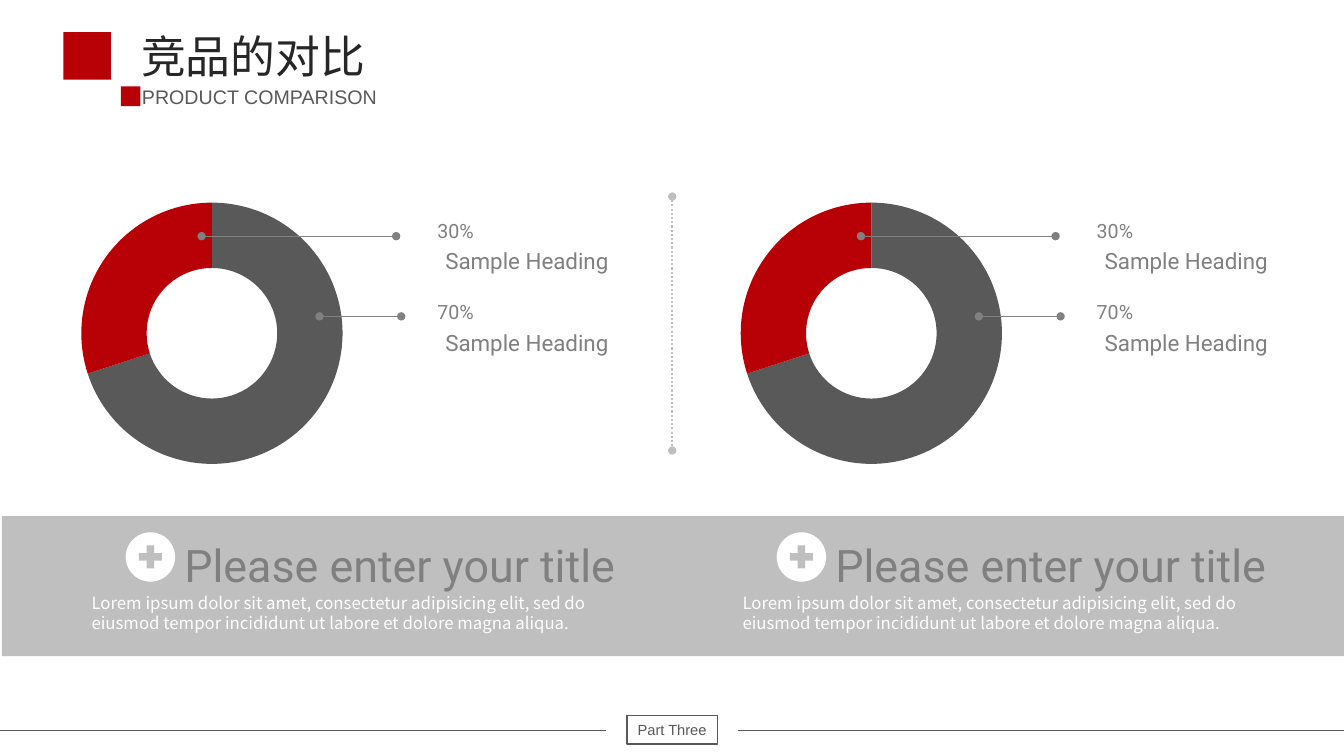
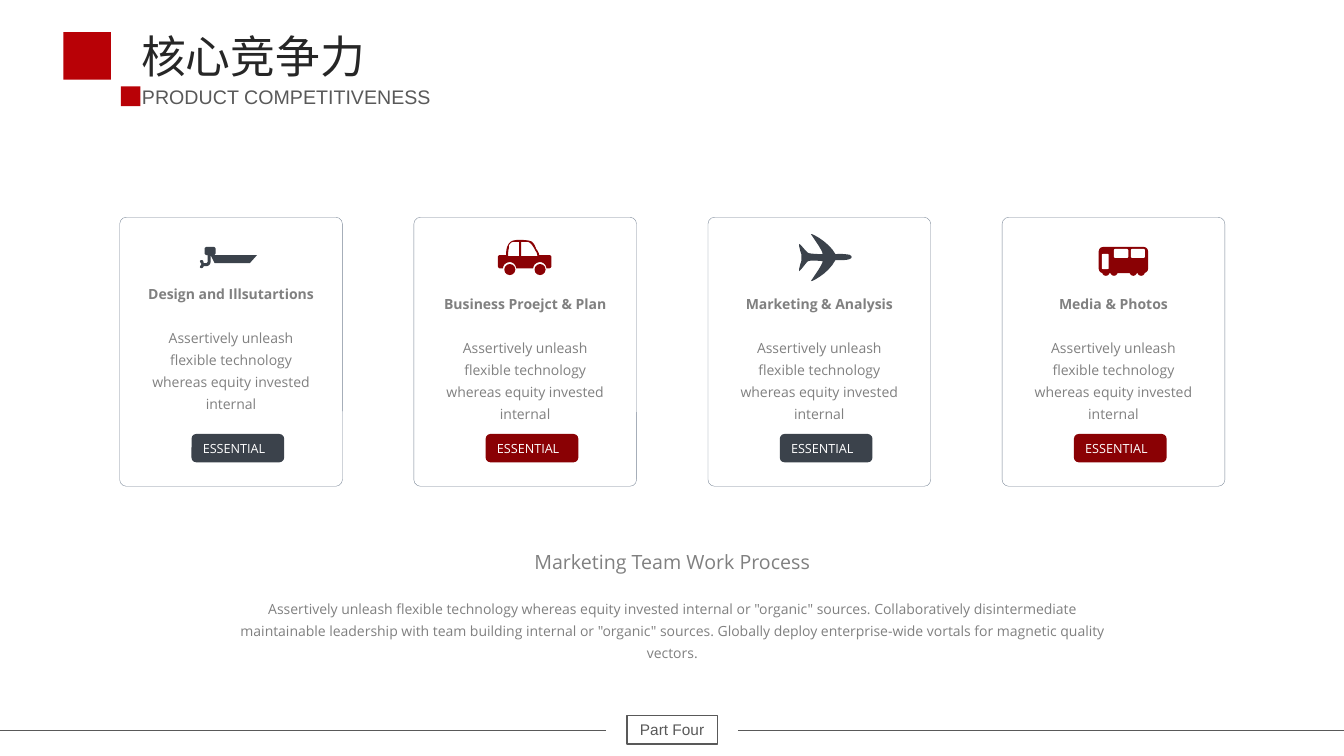
from lxml import etree
from pptx import Presentation
from pptx import util as u
from pptx.chart import data as chart_data
from pptx.dml.color import RGBColor
from pptx.enum import chart as charts, dml, shapes, text
from pptx.oxml import ns, parse_xml

Pt = u.Pt
KIND = shapes.MSO_SHAPE
LEFT, CENTER = text.PP_ALIGN.LEFT, text.PP_ALIGN.CENTER
RED = RGBColor(0xB8, 0x01, 0x06)
MAROON = RGBColor(0x8A, 0x01, 0x04)
SLATE = RGBColor(0x3B, 0x42, 0x4B)
CARD_EDGE = RGBColor(0x77, 0x84, 0x95)
INK = RGBColor(0x26, 0x26, 0x26)
DARK = RGBColor(0x59, 0x59, 0x59)
GREY = RGBColor(0x80, 0x80, 0x80)
SILVER = RGBColor(0xBF, 0xBF, 0xBF)
WHITE = RGBColor(0xFF, 0xFF, 0xFF)
CJK, ROBOTO, OPEN = "Noto Sans CJK SC", "Roboto", "Open Sans"


def put_text(frame, paragraphs, align=LEFT, spacing=None, gap=0, wrap=True):
    frame.word_wrap = wrap
    for index, (words, size, font, colour, bold) in enumerate(paragraphs):
        paragraph = frame.add_paragraph() if index else frame.paragraphs[0]
        paragraph.alignment = align
        if spacing:
            paragraph.line_spacing = spacing
        if index and gap:
            paragraph.space_before = Pt(gap)
        run = paragraph.add_run()
        run.text = words
        run.font.size = Pt(size)
        run.font.bold = bold
        run.font.color.rgb = colour
        run.font.name = font
        properties = run.font._element
        etree.SubElement(properties, ns.qn("a:ea"), typeface=font)


def add_block(slide, kind, box, fill=None, edge=None, weight=1):
    block = slide.shapes.add_shape(kind, *map(Pt, box))
    block.shadow.inherit = False
    if fill is None:
        block.fill.background()
    else:
        block.fill.solid()
        block.fill.fore_color.rgb = fill
    if edge is None:
        block.line.fill.background()
    else:
        block.line.color.rgb = edge
        block.line.width = Pt(weight)
    return block


deck = Presentation()
deck.slide_width, deck.slide_height = Pt(960), Pt(540)
lines = []
slides = []

for title, subtitle, part, part_size in [
    ("竞品的对比", "PRODUCT COMPARISON", "Part Three", 10.5),
    ("核心竞争力", "PRODUCT COMPETITIVENESS", "Part Four", 11),
]:
    slide = deck.slides.add_slide(deck.slide_layouts[5])
    slides.append(slide)
    heading = slide.shapes.title
    heading.left, heading.top, heading.width, heading.height = map(Pt, (93.6, 16.6, 217, 46))
    heading.text_frame.vertical_anchor = text.MSO_ANCHOR.TOP
    heading.text_frame.auto_size = text.MSO_AUTO_SIZE.NONE
    put_text(heading.text_frame, [(title, 32, CJK, INK, False)])
    add_block(slide, KIND.RECTANGLE, (45.2, 23, 34, 34), RED)
    add_block(slide, KIND.RECTANGLE, (86.4, 61.8, 14, 14), RED)
    caption = slide.shapes.add_textbox(*map(Pt, (94.3, 56.9, 300, 24.5)))
    put_text(caption.text_frame, [(subtitle, 14, "Arial", DARK, False)])
    part_box = add_block(slide, KIND.RECTANGLE, (447.8, 511, 64.6, 20.4), edge=DARK)
    part_box.text_frame.vertical_anchor = text.MSO_ANCHOR.MIDDLE
    put_text(part_box.text_frame, [(part, part_size, "Arial", DARK, False)], CENTER, wrap=False)
    for start, end in [(0, 432.7), (527, 960)]:
        lines.append((slide, (start, 521.5, end, 521.5), DARK, 0.5, False, None))

comparison, strengths = slides

add_block(comparison, KIND.RECTANGLE, (1.4, 368.6, 958.6, 100.1), SILVER)
shares = chart_data.CategoryChartData()
shares.categories = ["1", "2"]
shares.add_series("Series 1", (70, 30))

for offset in (0, 471):
    donut = comparison.shapes.add_chart(
        charts.XL_CHART_TYPE.DOUGHNUT, *map(Pt, (47.7 + offset, 134.4, 207.4, 207.4)), shares
    ).chart
    donut.has_legend = False
    donut.has_title = False
    donut.font.name = "Arial Narrow"
    donut.font.size = Pt(10.5)
    donut.font.color.rgb = WHITE
    for index, colour in enumerate((DARK, RED)):
        slice_format = donut.plots[0].series[0].points[index].format
        slice_format.fill.solid()
        slice_format.fill.fore_color.rgb = colour
        slice_format.line.fill.background()
    plot_area = donut._chartSpace.chart.plotArea
    for old in plot_area.findall(ns.qn("c:layout")):
        plot_area.remove(old)
    plot_area.insert(0, parse_xml(
        f'<c:layout {ns.nsdecls("c")}><c:manualLayout><c:layoutTarget val="inner"/>'
        '<c:xMode val="edge"/><c:yMode val="edge"/><c:x val="0.05"/><c:y val="0.05"/>'
        '<c:w val="0.9"/><c:h val="0.9"/></c:manualLayout></c:layout>'
    ))
    for share, top, line_start, line_end, line_top in [
        ("30%", 152.6, 144, 283, 168.7),
        ("70%", 211, 228.2, 286.6, 226),
    ]:
        for words, size, left, label_top, width in [
            (share, 14, 305.3, top, 75.6),
            ("Sample Heading", 16, 311, top + 20.2, 151.2),
        ]:
            label = comparison.shapes.add_textbox(*map(Pt, (left + offset, label_top, width, 26)))
            put_text(label.text_frame, [(words, size, ROBOTO, GREY, False)])
        leader = (line_start + offset, line_top, line_end + offset, line_top)
        lines.append((comparison, leader, GREY, 0.5, True, None))

for offset in (0, 465):
    add_block(comparison, KIND.OVAL, (89.8 + offset, 380.2, 35.3, 35.3), WHITE)
    plus = add_block(comparison, KIND.CROSS, (99.2 + offset, 389.6, 16.5, 16.5), SILVER)
    plus.adjustments[0] = 0.34
    for words, size, font, colour, box in [
        ("Please enter your title", 32, ROBOTO, GREY, (124.6 + offset, 380.2, 342.7, 46)),
        ("Lorem ipsum dolor sit amet, consectetur adipisicing elit, sed do eiusmod tempor "
         "incididunt ut labore et dolore magna aliqua.", 12, CJK, WHITE,
         (58.3 + offset, 419.8, 402.5, 36)),
    ]:
        message = comparison.shapes.add_textbox(*map(Pt, box))
        put_text(message.text_frame, [(words, size, font, colour, False)])

lines.append((comparison, (480.2, 140.4, 480.2, 321.8), SILVER, 1.5, True, dml.MSO_LINE.ROUND_DOT))

CARD_BODY = "Assertively unleash flexible technology whereas equity invested internal"
for index, (name, colour, text_top) in enumerate([
    ("Design and Illsutartions", SLATE, 196.9),
    ("Business Proejct & Plan", MAROON, 204.1),
    ("Marketing & Analysis", SLATE, 204.1),
    ("Media & Photos", MAROON, 204.1),
]):
    left = 85.5 + 210.1 * index
    card = add_block(strengths, KIND.ROUNDED_RECTANGLE, (left, 155.2, 159.1, 192.2), None, CARD_EDGE, 0.25)
    card.adjustments[0] = 0.03
    story = strengths.shapes.add_textbox(*map(Pt, (left + 12.5, text_top, 134, 102)))
    put_text(story.text_frame, [
        (name, 10, OPEN, GREY, True),
        (CARD_BODY, 10, OPEN, GREY, False),
    ], CENTER, 1.3, 15.7)
    badge = add_block(strengths, KIND.ROUNDED_RECTANGLE, (left + 51.3, 310, 66.2, 20.2), colour)
    badge.text_frame.vertical_anchor = text.MSO_ANCHOR.MIDDLE
    put_text(badge.text_frame, [("ESSENTIAL", 9, OPEN, WHITE, False)])

process = strengths.shapes.add_textbox(*map(Pt, (157.7, 384.5, 645.1, 96)))
put_text(process.text_frame, [
    ("Marketing Team Work Process", 14, OPEN, GREY, False),
    ('Assertively unleash flexible technology whereas equity invested internal or "organic" '
     "sources. Collaboratively disintermediate maintainable leadership with team building "
     'internal or "organic" sources. Globally deploy enterprise-wide vortals for magnetic '
     "quality vectors.", 10, OPEN, GREY, False),
], CENTER, 1.3, 15.7)

HAMMER = [[
    (108, 58), (115, 58, 122, 50, 122, 43), (122, 14), (122, 7, 115, 0, 108, 0), (58, 0),
    (50, 0, 43, 7, 43, 14), (43, 43), (43, 50, 50, 58, 58, 58), (65, 58), (65, 108), (58, 115),
    (36, 115), (36, 108, 36, 94, 22, 94), (0, 94, 14, 115, 22, 122), (14, 130, 0, 151, 22, 151),
    (29, 151, 36, 144, 36, 137), (58, 137), (72, 137, 86, 122, 86, 108), (86, 58), (115, 115),
    (367, 115), (418, 58),
]]
PLANE = [[
    (266, 166), (216, 72, 65, 0, 94, 29), (115, 58, 187, 166, 173, 166),
    (166, 166, 94, 166, 72, 158), (58, 151, 14, 94, 7, 94), (0, 101, 22, 166, 22, 166),
    (22, 216), (22, 216, 0, 281, 7, 288), (14, 288, 58, 223, 72, 216),
    (94, 209, 166, 216, 173, 216), (187, 216, 115, 324, 94, 353), (65, 382, 216, 310, 266, 209),
    (274, 209, 382, 216, 382, 187), (382, 158, 274, 166, 266, 166),
]]
CAR = [
    [
        (367, 108), (295, 108), (295, 94, 281, 72, 274, 65), (266, 43, 259, 29, 245, 14),
        (223, 0, 187, 0, 158, 0), (137, 0, 115, 0, 101, 7), (65, 22, 58, 72, 58, 108), (14, 108),
        (7, 108, 0, 115, 0, 122), (0, 187), (0, 194, 7, 202, 14, 202), (36, 202),
        (36, 180, 58, 158, 86, 158), (108, 158, 130, 180, 130, 202), (252, 202),
        (252, 180, 274, 158, 302, 158), (324, 158, 346, 180, 346, 202), (367, 202),
        (374, 202, 382, 194, 382, 187), (382, 122), (382, 115, 374, 108, 367, 108),
    ],
    [
        (151, 115), (72, 115), (72, 115, 72, 72, 79, 58), (79, 50, 79, 43, 79, 36),
        (86, 29, 94, 14, 108, 14), (151, 14),
    ],
    [
        (166, 115), (166, 14), (180, 14, 202, 14, 216, 14), (245, 22, 259, 65, 274, 86),
        (281, 94, 281, 115, 281, 115),
    ],
]
STEPS = 8
for outlines, left, top, colour in [
    (HAMMER, 141.8, 176.4, SLATE),
    (CAR, 355.7, 171.4, MAROON),
    (PLANE, 570.2, 164.9, SLATE),
]:
    builder = None
    for outline in outlines:
        points = [outline[0]]
        for segment in outline[1:]:
            if len(segment) == 2:
                points.append(segment)
                continue
            x0, y0 = points[-1]
            x1, y1, x2, y2, x3, y3 = segment
            for step in range(1, STEPS + 1):
                t = step / STEPS
                s = 1 - t
                weights = (s ** 3, 3 * s * s * t, 3 * s * t * t, t ** 3)
                points.append(tuple(
                    sum(w * v for w, v in zip(weights, values))
                    for values in ((x0, x1, x2, x3), (y0, y1, y2, y3))
                ))
        if builder is None:
            builder = strengths.shapes.build_freeform(*points[0], scale=Pt(0.1))
        else:
            builder.move_to(*points[0])
        builder.add_line_segments(points[1:], close=True)
    icon = builder.convert_to_shape(Pt(left), Pt(top))
    icon.shadow.inherit = False
    icon.fill.solid()
    icon.fill.fore_color.rgb = colour
    icon.line.fill.background()

for wheel_left in (360.2, 375.2 + 6.6):
    add_block(strengths, KIND.OVAL, (wheel_left, 188.6, 7.9, 7.9), MAROON)

bus_left, bus_top = 784.8, 176.4
for kind, box, colour in [
    (KIND.ROUNDED_RECTANGLE, (0, 0, 35.3, 18.7), MAROON),
    *[(KIND.OVAL, (wheel, 15.2, 5.4, 5.4), MAROON) for wheel in (2.4, 8.2, 22, 27.6)],
    (KIND.ROUNDED_RECTANGLE, (2.2, 5, 5, 10.8), WHITE),
    (KIND.ROUNDED_RECTANGLE, (10.8, 1.4, 10.4, 6.5), WHITE),
    (KIND.ROUNDED_RECTANGLE, (23, 1.4, 10.1, 6.5), WHITE),
]:
    x, y, width, height = box
    add_block(strengths, kind, (bus_left + x, bus_top + y, width, height), colour)

for slide, ends, colour, weight, dotted_ends, dash in lines:
    rule = slide.shapes.add_connector(shapes.MSO_CONNECTOR.STRAIGHT, *map(Pt, ends))
    rule.line.color.rgb = colour
    rule.line.width = Pt(weight)
    if dash:
        rule.line.dash_style = dash
    if dotted_ends:
        stroke = rule.line._get_or_add_ln()
        for end in ("a:headEnd", "a:tailEnd"):
            etree.SubElement(stroke, ns.qn(end), type="oval")
    etree.SubElement(rule._element.spPr, ns.qn("a:effectLst"))

deck.save("out.pptx")
